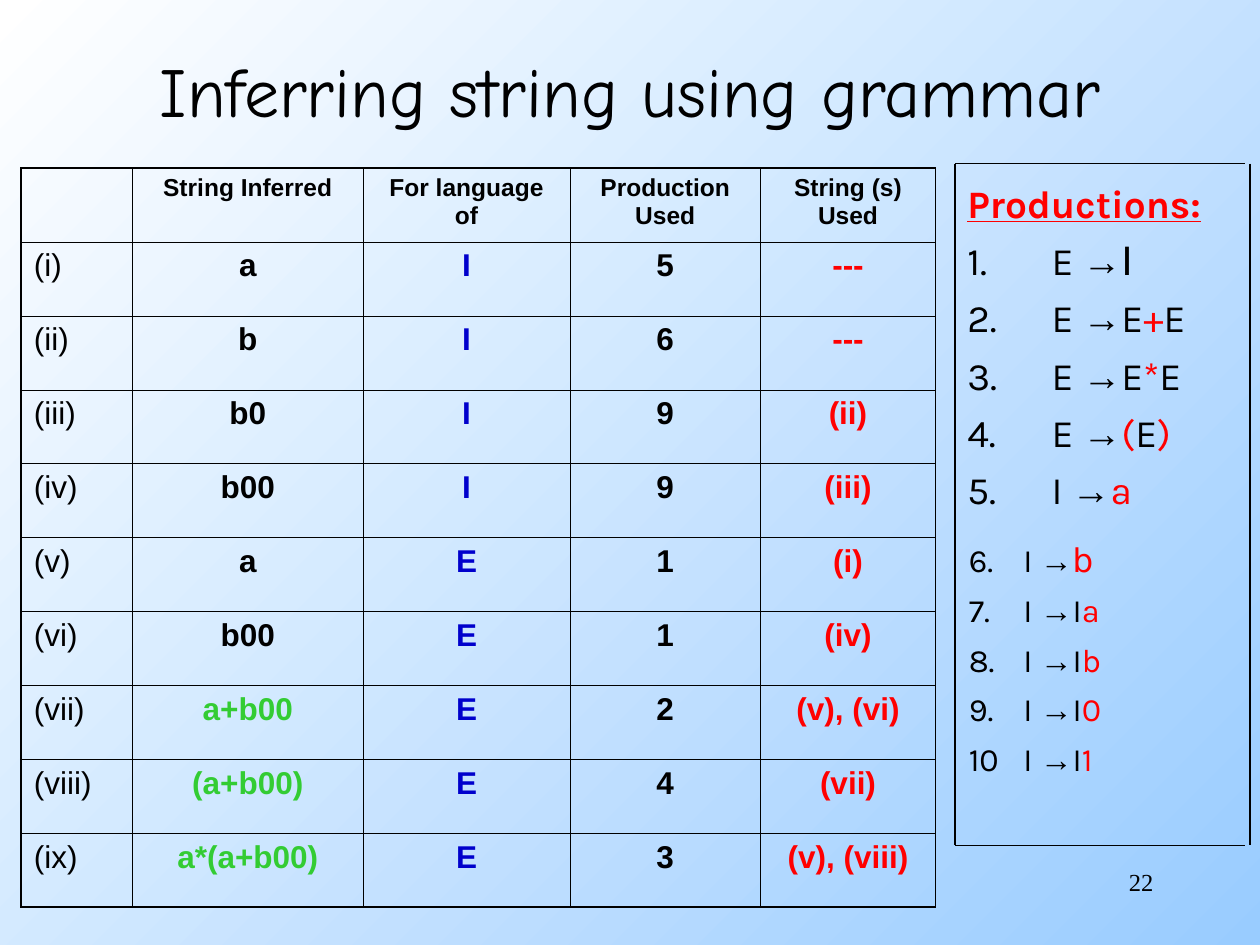
from dataclasses import dataclass

from lxml import etree
from pptx import Presentation
from pptx import util as u
from pptx.dml.color import RGBColor
from pptx.enum import shapes, text
from pptx.oxml import ns

Cm = u.Cm
MID = text.PP_ALIGN.CENTER


@dataclass(frozen=True)
class Theme:
    ink: str = "000000"
    red: str = "FF0000"
    blue: str = "0000CC"
    green: str = "33CC33"
    pale: str = "FFFFFF"
    sky: str = "99CCFF"
    title: float = 40
    head: float = 14
    body: float = 18
    rule: float = 22.2
    small: float = 18.6
    thin: float = 0.45
    thick: float = 1.08
    plain: str = "Arial"
    hand: str = "Comic Neue"
    sans: str = "Karla"
    wide: str = "DejaVu Sans"
    serif: str = "Times New Roman"


T = Theme()

HEADS = ["", "String Inferred", "For language of", "Production Used", "String (s) Used"]
STEPS = [
    ["(i)", "a", "I", "5", "---"],
    ["(ii)", "b", "I", "6", "---"],
    ["(iii)", "b0", "I", "9", "(ii)"],
    ["(iv)", "b00", "I", "9", "(iii)"],
    ["(v)", "a", "E", "1", "(i)"],
    ["(vi)", "b00", "E", "1", "(iv)"],
    ["(vii)", "a+b00", "E", "2", "(v), (vi)"],
    ["(viii)", "(a+b00)", "E", "4", "(vii)"],
    ["(ix)", "a*(a+b00)", "E", "3", "(v), (viii)"],
]
WIDTHS = [2.24, 4.65, 4.17, 3.84, 3.53]
ROW = 1.49
FIRST = [("E", "I"), ("E", "E+E"), ("E", "E*E"), ("E", "(E)"), ("I", "a")]
LAST = [("6.", "b"), ("7.", "Ia"), ("8.", "Ib"), ("9.", "I0"), ("10", "I1")]


def say(para, words, size=T.body, font=T.plain, color=T.ink, bold=False, line=False):
    run = para.add_run()
    run.text = words
    face = run.font
    face.size, face.name, face.bold, face.underline = u.Pt(size), font, bold, line
    face.color.rgb = RGBColor.from_string(color)


def add_box(slide, left, top, width, height):
    frame = slide.shapes.add_textbox(Cm(left), Cm(top), Cm(width), Cm(height)).text_frame
    frame.word_wrap = True
    return frame


def add_para(frame, first, hang):
    para = frame.paragraphs[0] if first else frame.add_paragraph()
    para.space_before = u.Pt(6)
    props = para._p.get_or_add_pPr()
    props.set("marL", str(Cm(hang)))
    props.set("indent", str(-Cm(hang)))
    return para


def add_num(para):
    props = para._p.get_or_add_pPr()
    tint = etree.SubElement(props, ns.qn("a:buClr"))
    etree.SubElement(tint, ns.qn("a:srgbClr"), val=T.ink)
    etree.SubElement(props, ns.qn("a:buAutoNum"), type="arabicPeriod")


def add_rule(para, left, right, size, font):
    say(para, left + " ", size, T.sans)
    say(para, "→", size)
    for sign in right:
        say(para, sign, size, font, T.ink if sign in "EI" else T.red)


def add_edge(cell, side, width):
    props = cell._tc.get_or_add_tcPr()
    edge = etree.SubElement(props, ns.qn("a:ln" + side), w=str(u.Pt(width)))
    fill = etree.SubElement(edge, ns.qn("a:solidFill"))
    etree.SubElement(fill, ns.qn("a:srgbClr"), val=T.ink)


def add_line(slide, x1, y1, x2, y2):
    line = slide.shapes.add_connector(
        shapes.MSO_CONNECTOR.STRAIGHT, Cm(x1), Cm(y1), Cm(x2), Cm(y2))
    line.line.color.rgb = RGBColor.from_string(T.ink)
    line.line.width = u.Pt(0.75)
    etree.SubElement(line._element.spPr, ns.qn("a:effectLst"))


def add_back(slide):
    fill = slide.background.fill
    fill.gradient()
    fill.gradient_angle = 315
    for stop, tint in zip(fill.gradient_stops, (T.pale, T.sky)):
        stop.color.rgb = RGBColor.from_string(tint)


def add_title(slide, words):
    title = slide.shapes.title
    title.left, title.top, title.width, title.height = Cm(1.9), Cm(1.07), Cm(21.6), Cm(1.47)
    frame = title.text_frame
    frame.vertical_anchor = text.MSO_ANCHOR.MIDDLE
    frame.auto_size = text.MSO_AUTO_SIZE.NONE
    para = frame.paragraphs[0]
    para.alignment = MID
    say(para, words, T.title, T.hand)


def add_steps(slide):
    rows = [HEADS] + STEPS
    high, wide = len(rows), len(WIDTHS)
    grid = slide.shapes.add_table(
        high, wide, Cm(0.43), Cm(3.39), Cm(sum(WIDTHS)), Cm(ROW * high)).table
    grid.first_row = grid.horz_banding = False
    for col, width in zip(grid.columns, WIDTHS):
        col.width = Cm(width)
    for r, row in enumerate(rows):
        grid.rows[r].height = Cm(ROW)
        for c, words in enumerate(row):
            cell = grid.cell(r, c)
            outer = {"L": c == 0, "R": c == wide - 1, "T": r == 0, "B": r == high - 1}
            for side, edge in outer.items():
                add_edge(cell, side, T.thick if edge else T.thin)
            cell.fill.background()
            if not words:
                continue
            tints = [T.ink, T.green if r > 6 else T.ink, T.blue, T.ink, T.red]
            para = cell.text_frame.paragraphs[0]
            para.alignment = MID if c else text.PP_ALIGN.LEFT
            para.space_before = u.Pt(4.5 if r else 3.5)
            say(para, words, T.body if r else T.head,
                color=tints[c] if r else T.ink, bold=c > 0)


def add_rules(slide):
    frame = add_box(slide, 19.25, 3.5, 5.92, 7.19)
    say(add_para(frame, True, 1.7), "Productions:", T.rule, T.sans, T.red, True, True)
    for left, right in FIRST:
        para = add_para(frame, False, 1.7)
        add_num(para)
        add_rule(para, left, right, T.rule, T.wide if right == "I" else T.sans)
    frame = add_box(slide, 19.28, 10.77, 5.49, 6.15)
    for i, (mark, right) in enumerate(LAST):
        para = add_para(frame, i == 0, 1.1)
        add_rule(para, mark + "\tI", right, T.small, T.wide if right == "b" else T.sans)


def add_frame(slide):
    left, right, top, foot = 19.25, 25.2, 3.3, 17.04
    for x in (left, right):
        add_line(slide, x, top, x, foot)
    for y in (top, foot):
        add_line(slide, left, y, right - 0.1, y)


def main():
    deck = Presentation()
    deck.slide_width, deck.slide_height = Cm(25.4), Cm(19.05)
    slide = deck.slides.add_slide(deck.slide_layouts[5])
    add_back(slide)
    add_title(slide, "Inferring string using grammar")
    para = add_box(slide, 18.2, 17.35, 5.3, 1.27).paragraphs[0]
    para.alignment = text.PP_ALIGN.RIGHT
    say(para, "22", T.head, T.serif)
    add_steps(slide)
    add_rules(slide)
    add_frame(slide)
    deck.save("out.pptx")


if __name__ == "__main__":
    main()
